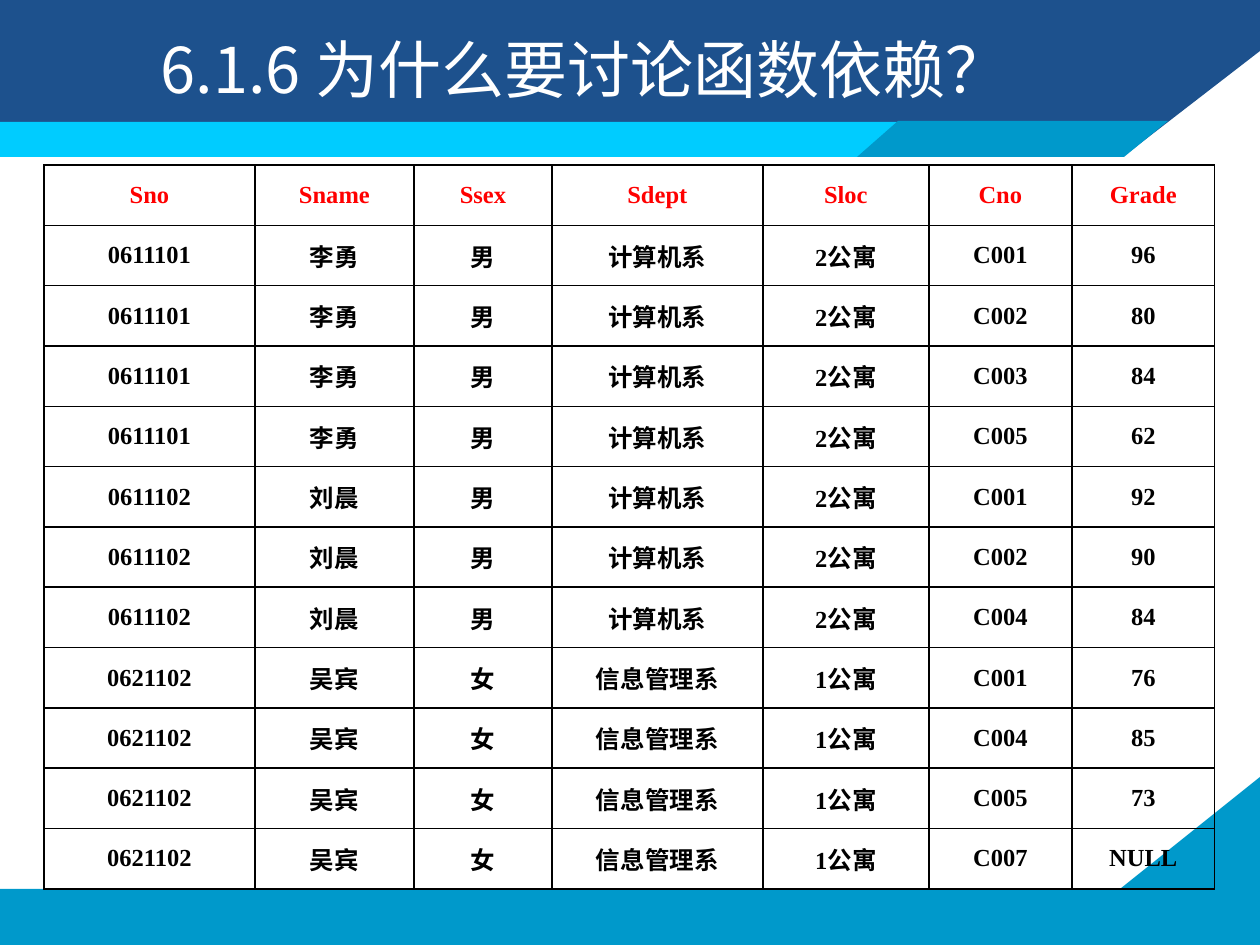
import pptx
import pptx.dml.color
import pptx.enum.shapes
import pptx.enum.text
import pptx.oxml
import pptx.oxml.ns
import pptx.util

SCALE = 914400 / 126
CJK_FONT = "Noto Sans CJK SC"
COLUMN_WIDTHS = [211, 159, 138, 211, 166, 143, 143]
HEADINGS = ["Sno", "Sname", "Ssex", "Sdept", "Sloc", "Cno", "Grade"]
STUDENTS = [
    (["0611101", "李勇", "男", "计算机系", "2公寓"],
     [("C001", "96"), ("C002", "80"), ("C003", "84"), ("C005", "62")]),
    (["0611102", "刘晨", "男", "计算机系", "2公寓"],
     [("C001", "92"), ("C002", "90"), ("C004", "84")]),
    (["0621102", "吴宾", "女", "信息管理系", "1公寓"],
     [("C001", "76"), ("C004", "85"), ("C005", "73"), ("C007", "NULL")]),
]


def px(length):
    """Turn pixels into EMU."""
    return pptx.util.Emu(round(length * SCALE))


def color(value):
    """Turn a hex string into a colour."""
    return pptx.dml.color.RGBColor.from_string(value)


def paint(shape, fill):
    """Give a shape a flat fill without outline or shadow."""
    shape.shadow.inherit = False
    shape.fill.solid()
    shape.fill.fore_color.rgb = color(fill)
    shape.line.fill.background()


def add_polygon(page, points, fill):
    """Draw a closed outline through pixel points."""
    corners = [(px(x), px(y)) for x, y in points]
    builder = page.shapes.build_freeform(*corners[0], scale=1.0)
    builder.add_line_segments(corners[1:], close=True)
    paint(builder.convert_to_shape(), fill)


def add_bar(page, left, top, width, height, fill):
    """Draw a plain rectangle."""
    bar = page.shapes.add_shape(
        pptx.enum.shapes.MSO_SHAPE.RECTANGLE,
        px(left), px(top), px(width), px(height))
    paint(bar, fill)


def add_span(para, text, size, font, fill, bold=False):
    """Add one centred run with Latin and East Asian fonts."""
    para.alignment = pptx.enum.text.PP_ALIGN.CENTER
    span = para.add_run()
    span.text = text
    span.font.size = pptx.util.Pt(size)
    span.font.name = font
    span.font.bold = bold
    span.font.color.rgb = color(fill)
    east_asian = pptx.oxml.parse_xml(
        f'<a:ea {pptx.oxml.ns.nsdecls("a")} typeface="{CJK_FONT}"/>')
    span.font._element.find(pptx.oxml.ns.qn("a:latin")).addnext(east_asian)


def place_title(page, text):
    """Position the title placeholder above the banner and fill it."""
    title = page.shapes.title
    page.shapes._spTree.append(title._element)
    title.left, title.top, title.width, title.height = map(px, (53, 21, 1063, 95))
    frame = title.text_frame
    frame.word_wrap = True
    frame.auto_size = pptx.enum.text.MSO_AUTO_SIZE.NONE
    frame.vertical_anchor = pptx.enum.text.MSO_ANCHOR.MIDDLE
    add_span(frame.paragraphs[0], text, 36, CJK_FONT, "FFFFFF")


def set_borders(cell, widths):
    """Draw black cell borders with widths in points by side."""
    properties = cell._tc.get_or_add_tcPr()
    for position, (side, width) in enumerate(widths.items()):
        border = pptx.oxml.parse_xml(
            f'<a:ln{side} {pptx.oxml.ns.nsdecls("a")} w="{pptx.util.Pt(width)}">'
            '<a:solidFill><a:srgbClr val="000000"/></a:solidFill>'
            f'</a:ln{side}>')
        properties.insert(position, border)


def fill_cell(cell, text, fill, borders):
    """Write a transparent, centred cell with a hanging indent."""
    cell.fill.background()
    cell.vertical_anchor = pptx.enum.text.MSO_ANCHOR.MIDDLE
    para = cell.text_frame.paragraphs[0]
    properties = para._p.get_or_add_pPr()
    properties.set("marL", str(px(48)))
    properties.set("indent", str(px(-48)))
    add_span(para, text, 14, "Times New Roman", fill, bold=True)
    set_borders(cell, borders)


def add_grade_table(page, rows):
    """Add the enrolment table with a red heading row."""
    height = px(724)
    table = page.shapes.add_table(
        len(rows), len(HEADINGS), px(44), px(165),
        px(sum(COLUMN_WIDTHS)), height).table
    table.first_row = False
    table.horz_banding = False
    for column, width in zip(table.columns, COLUMN_WIDTHS):
        column.width = px(width)
    last = len(HEADINGS) - 1
    for r, values in enumerate(rows):
        table.rows[r].height = height // len(rows)
        for c, text in enumerate(values):
            borders = {"L": 0.75 if c == 0 else 1,
                       "R": 0.75 if c == last else 1, "T": 1, "B": 1}
            fill_cell(table.cell(r, c), text,
                      "FF0000" if r == 0 else "000000", borders)


def main():
    """Build and save the deck."""
    deck = pptx.Presentation()
    deck.slide_width, deck.slide_height = px(1260), px(945)
    page = deck.slides.add_slide(deck.slide_layouts[5])
    add_polygon(page, [(0, 889), (1120, 889), (1260, 777), (1260, 945), (0, 945)],
                "0099CB")
    add_polygon(page, [(0, 0), (1260, 0), (1260, 51), (1124, 156), (0, 156)],
                "1D518D")
    add_bar(page, 0, 122, 1063, 35, "00CCFF")
    add_polygon(page, [(857, 157), (1124, 157), (1168, 121), (898, 121)], "0099CB")
    place_title(page, "6.1.6 为什么要讨论函数依赖？")
    rows = [HEADINGS] + [student + list(course)
                         for student, courses in STUDENTS for course in courses]
    add_grade_table(page, rows)
    deck.save("out.pptx")


if __name__ == "__main__":
    main()
